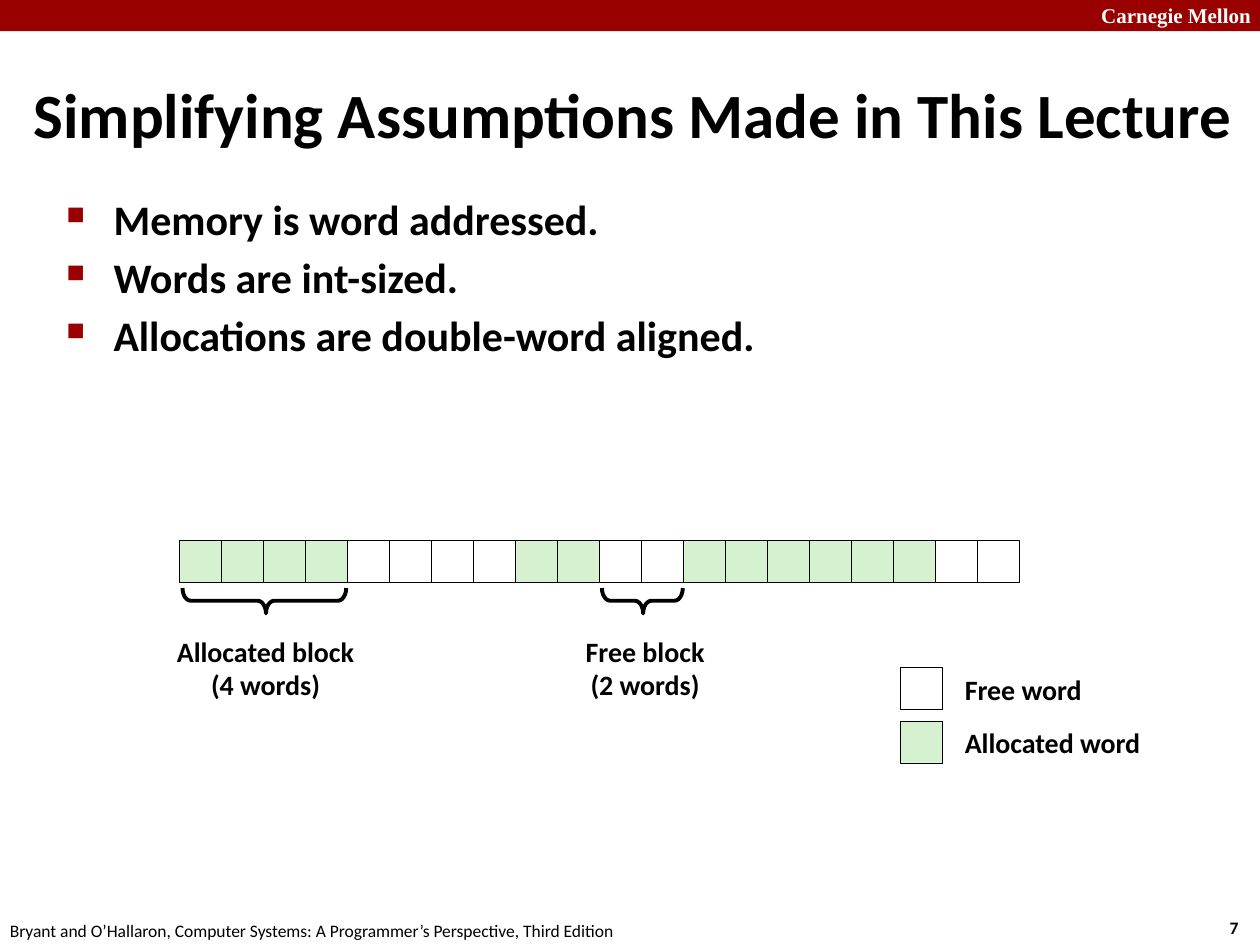
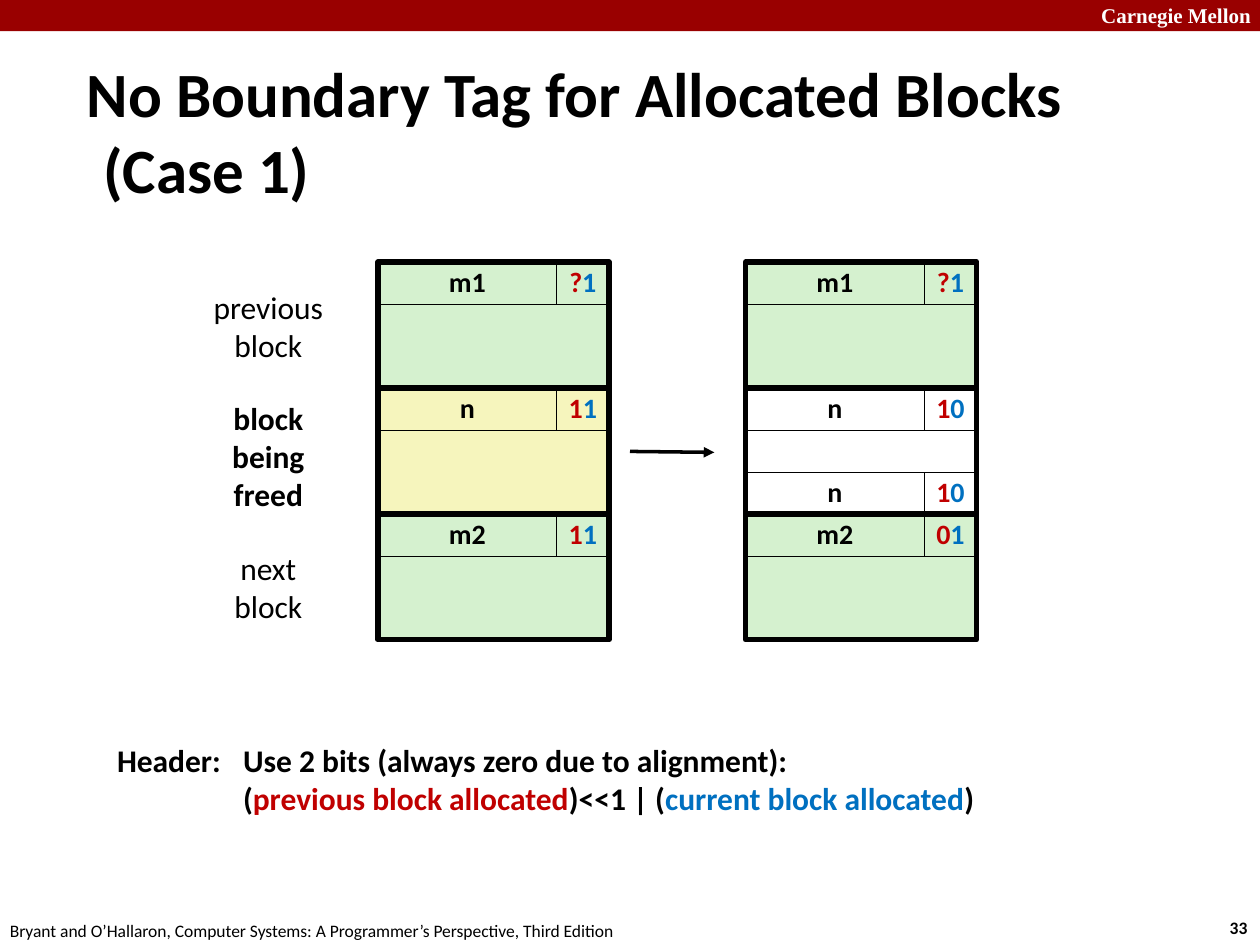
from lxml import etree
from pptx import Presentation
from pptx.dml.color import RGBColor
from pptx.enum.shapes import MSO_CONNECTOR, MSO_SHAPE
from pptx.enum.text import MSO_ANCHOR, PP_ALIGN
from pptx.oxml.ns import qn
from pptx.util import Cm, Pt

RECTANGLE, LEFT_BRACE = MSO_SHAPE.RECTANGLE, MSO_SHAPE.LEFT_BRACE
STRAIGHT = MSO_CONNECTOR.STRAIGHT
LEFT, CENTER = PP_ALIGN.LEFT, PP_ALIGN.CENTER
TOP, MIDDLE = MSO_ANCHOR.TOP, MSO_ANCHOR.MIDDLE

color = RGBColor.from_string
BLACK, WHITE, CRIMSON = "000000", "FFFFFF", "990000"
GREEN, YELLOW = "D5F1CF", "F6F5BD"
PREVIOUS_BIT, CURRENT_BIT = "C00000", "0070C0"
THIN, THICK = 0.25, 3


def add_box(slide, x, y, w, h, fill=None, line=None, preset=RECTANGLE):
    """Add a preset shape, lengths in cm and line width in points."""
    box = slide.shapes.add_shape(preset, Cm(x), Cm(y), Cm(w), Cm(h))
    box.shadow.inherit = False
    if fill:
        box.fill.solid()
        box.fill.fore_color.rgb = color(fill)
    else:
        box.fill.background()
    if line:
        box.line.color.rgb = color(BLACK)
        box.line.width = Pt(line)
    else:
        box.line.fill.background()
    return box


def write(holder, *paragraphs, size=16, bold=True, ink=BLACK, font="Calibri",
          align=LEFT, anchor=TOP, wrap=True, spacing=None, gap=0,
          hanging=0, bullet=None, tab=None):
    """Fill a shape; a paragraph is a string or a list of (text, colour)."""
    frame = holder.text_frame
    frame.word_wrap = wrap
    frame.vertical_anchor = anchor
    for index, content in enumerate(paragraphs):
        paragraph = frame.add_paragraph() if index else frame.paragraphs[0]
        properties = paragraph._p.get_or_add_pPr()
        if hanging:
            properties.set("marL", str(Cm(hanging)))
            properties.set("indent", str(-Cm(hanging)))
        if bullet:
            tint = etree.SubElement(properties, qn("a:buClr"))
            etree.SubElement(tint, qn("a:srgbClr"), val=CRIMSON)
            etree.SubElement(properties, qn("a:buSzPct"), val="60000")
            etree.SubElement(properties, qn("a:buChar"), char=bullet)
        if tab:
            stops = etree.SubElement(properties, qn("a:tabLst"))
            etree.SubElement(stops, qn("a:tab"), pos=str(Cm(tab)), algn="l")
        paragraph.alignment = align
        if spacing:
            paragraph.line_spacing = spacing
        if gap and index:
            paragraph.space_before = Pt(gap)
        pieces = [(content, ink)] if isinstance(content, str) else content
        for text, piece_ink in pieces:
            for number, part in enumerate(text.split("\n")):
                if number:
                    paragraph.add_line_break()
                run = paragraph.add_run()
                run.text = part
                run.font.name = font
                run.font.size = Pt(size)
                run.font.bold = bold
                run.font.color.rgb = color(piece_ink)


prs = Presentation()
prs.slide_width, prs.slide_height = Cm(25.4), Cm(19.05)
blank = prs.slide_layouts[6]

# Band, footer, number and title of every slide
SOURCE = "Bryant and O’Hallaron, Computer Systems: A Programmer’s Perspective, Third Edition"
pages = [
    ("7", "Simplifying Assumptions Made in This Lecture", (0.43, 1.22, 24.97, 2.11)),
    ("33", "No Boundary Tag for Allocated Blocks\n(Case 1)", (1.5, 1.13, 23.7, 3)),
]
slides = []
for number, title, title_place in pages:
    slide = prs.slides.add_slide(blank)
    slides.append(slide)
    add_box(slide, 0, 0, 25.4, 0.63, CRIMSON)
    for text, place, style in [
        ("Carnegie Mellon", (21.95, -0.08, 3.63, 0.76),
         dict(size=12, font="Times New Roman", ink=WHITE)),
        (number, (24.54, 18.36, 0.94, 0.69), dict(size=10, wrap=False)),
        (SOURCE, (-0.05, 18.42, 12.9, 0.69), dict(size=10, bold=False, wrap=False)),
        (title, title_place, dict(size=36, anchor=MIDDLE, hanging=0.33)),
    ]:
        write(slide.shapes.add_textbox(*map(Cm, place)), text, **style)
assumptions, boundary_tag = slides

# Slide 1: assumptions
write(assumptions.shapes.add_textbox(Cm(1.09), Cm(3.78), Cm(21.95), Cm(13.82)),
      "Memory is word addressed.",
      "Words are int-sized.",
      "Allocations are double-word aligned.",
      size=24, gap=4.2, hanging=0.95, bullet="■")

# Row of memory words: A is allocated, F is free
WORD = 2.54 / 3
word_fill = {"A": GREEN, "F": WHITE}
for index, state in enumerate("AAAAFFFFAAFFAAAAAAFF"):
    add_box(assumptions, 3.62 + index * WORD, 10.9, WORD, WORD, word_fill[state], THIN)

BRACE_DEPTH, BRACE_MIDDLE = 0.51, 12.11
for caption, caption_x, caption_w, brace_x, span in [
    ("Allocated block\n(4 words)", 3.3, 4.11, 5.33, 3.3),
    ("Free block\n(2 words)", 11.48, 3.05, 12.95, 1.63),
]:
    brace = add_box(assumptions, brace_x - BRACE_DEPTH / 2, BRACE_MIDDLE - span / 2,
                    BRACE_DEPTH, span, line=2.25, preset=LEFT_BRACE)
    brace.rotation = 270
    brace.adjustments[0], brace.adjustments[1] = 0.33, 0.51
    write(assumptions.shapes.add_textbox(Cm(caption_x), Cm(12.7), Cm(caption_w), Cm(1.6)),
          *caption.split("\n"), align=CENTER, wrap=False, spacing=0.98)

for meaning, state, y in [("Free word", "F", 13.46), ("Allocated word", "A", 14.53)]:
    add_box(assumptions, 18.14, y, WORD, WORD, word_fill[state], THIN)
    write(assumptions.shapes.add_textbox(Cm(19.2), Cm(y), Cm(4.3), Cm(0.94)),
          meaning, spacing=0.98)

# Slide 2: heap before and after the free
BLOCK_W, BLOCK_H, SIZE_W, BITS_W = 4.66, 2.54, 3.6, 1.06
HEAP_TOP = 5.28
heaps = [
    (7.62, [("m1", "?1", GREEN, False), ("n", "11", YELLOW, False),
            ("m2", "11", GREEN, False)]),
    (15.03, [("m1", "?1", GREEN, False), ("n", "10", WHITE, True),
             ("m2", "01", GREEN, False)]),
]
for x, blocks in heaps:
    for index, (block_size, bits, fill, has_footer) in enumerate(blocks):
        y = HEAP_TOP + index * BLOCK_H
        add_box(boundary_tag, x, y + WORD, BLOCK_W, BLOCK_H - WORD, fill, THIN)
        for tag_y in [y, y + 2 * WORD] if has_footer else [y]:
            size_cell = add_box(boundary_tag, x, tag_y, SIZE_W, WORD, fill, THIN)
            bits_cell = add_box(boundary_tag, x + SIZE_W, tag_y, BITS_W, WORD, fill, THIN)
            bit_runs = list(zip(bits, (PREVIOUS_BIT, CURRENT_BIT)))
            for cell, content in [(size_cell, block_size), (bits_cell, bit_runs)]:
                write(cell, content, align=CENTER, anchor=MIDDLE, wrap=False, spacing=0.98)
        add_box(boundary_tag, x, y, BLOCK_W, BLOCK_H, line=THICK)

arrow = boundary_tag.shapes.add_connector(STRAIGHT, Cm(12.7), Cm(9.1), Cm(14.4), Cm(9.12))
arrow.line.color.rgb = color(BLACK)
arrow.line.width = Pt(2)
etree.SubElement(arrow.line._get_or_add_ln(), qn("a:tailEnd"), type="triangle")
etree.SubElement(arrow._element.spPr, qn("a:effectLst"))

for role, y, h, bold in [
    ("previous\nblock", 5.69, 1.8, False),
    ("block\nbeing\nfreed", 7.92, 2.57, True),
    ("next\nblock", 10.95, 1.8, False),
]:
    write(boundary_tag.shapes.add_textbox(Cm(4.01), Cm(y), Cm(2.8), Cm(h)),
          role, size=18, bold=bold, align=CENTER, wrap=False)

write(boundary_tag.shapes.add_textbox(Cm(2.11), Cm(14.81), Cm(18.2), Cm(1.8)),
      [("Header: \tUse 2 bits (always zero due to alignment):\n\t(", BLACK),
       ("previous block allocated", PREVIOUS_BIT),
       (")<<1 | (", BLACK),
       ("current block allocated", CURRENT_BIT),
       (")", BLACK)],
      size=18, tab=2.54)

prs.save("out.pptx")
